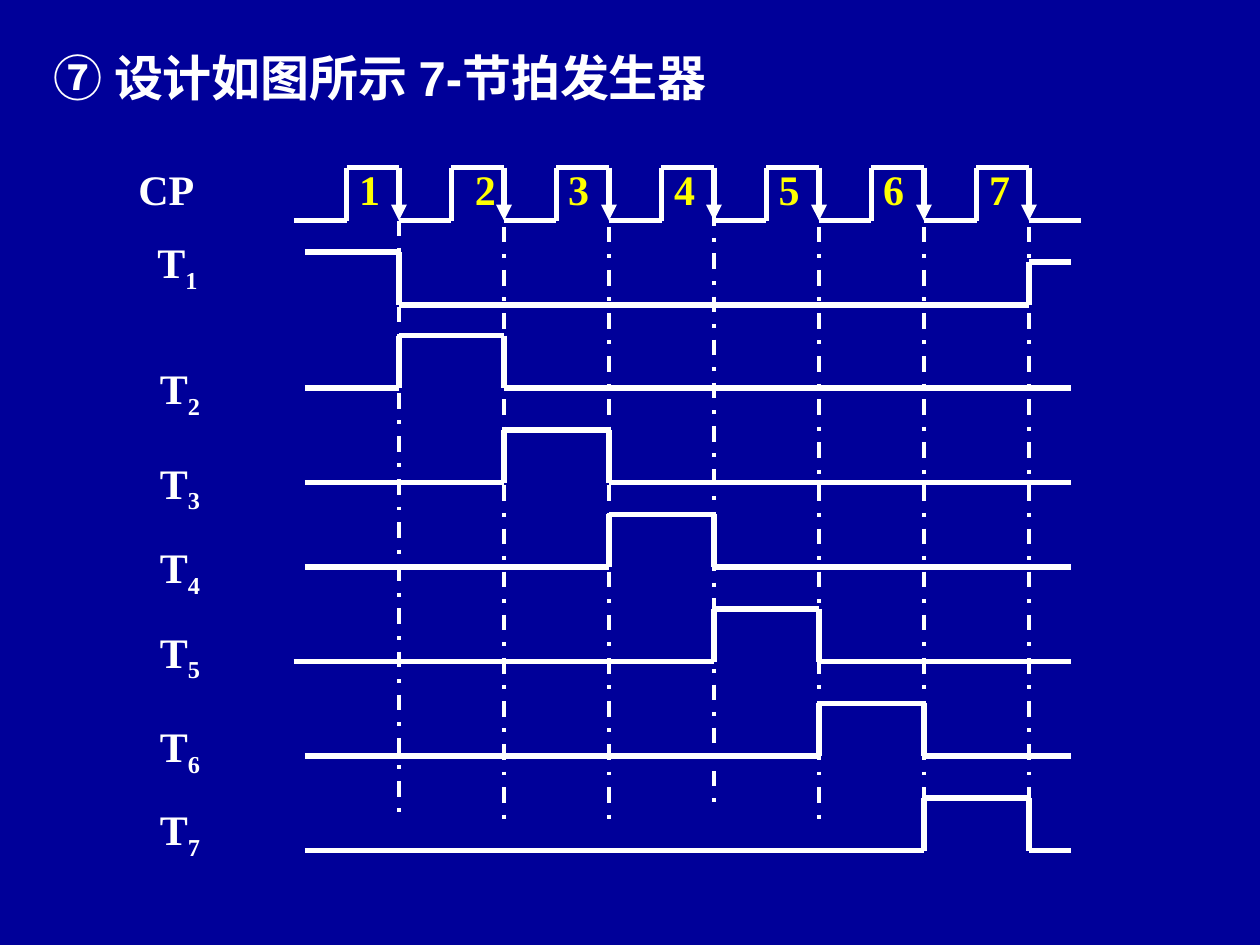
from dataclasses import dataclass
from itertools import pairwise

from lxml.etree import SubElement
from pptx import Presentation
from pptx.dml.color import RGBColor
from pptx.enum.dml import MSO_LINE_DASH_STYLE as Dash
from pptx.enum.shapes import MSO_CONNECTOR
from pptx.enum.text import MSO_AUTO_SIZE
from pptx.oxml.ns import qn
from pptx.shapes.connector import Connector
from pptx.slide import Slide
from pptx.text.text import TextFrame, _Run as Run
from pptx.util import Inches, Pt

NAVY = RGBColor(0x00, 0x00, 0x99)
WHITE = RGBColor(0xFF, 0xFF, 0xFF)
YELLOW = RGBColor(0xFF, 0xFF, 0x00)
SERIF = "Times New Roman"

PERIOD = 5 / 6
HALF = PERIOD / 2
FALLING_EDGES = [19 / 6 + PERIOD * beat for beat in range(7)]
CLOCK_HIGH, CLOCK_LOW = 1.33, 1.75
TRACE_LEFT, TRACE_RIGHT = 2.42, 8.5
GUIDE_TOPS = [1.75, 1.8, 1.8, 1.67, 1.8, 1.8, 1.8]
GUIDE_LENGTH = 4.78


@dataclass(frozen=True)
class Beat:
    """An output that is high between two neighbouring falling edges."""
    number: int
    low: float
    label_top: float
    left: float = TRACE_LEFT


BEATS = [
    Beat(2, 3.08, 2.83),
    Beat(3, 3.83, 3.58),
    Beat(4, 4.5, 4.25),
    Beat(5, 5.25, 4.92, left=2.33),
    Beat(6, 6, 5.67),
    Beat(7, 6.75, 6.33),
]

Point = tuple[float, float]


def add_line(slide: Slide, start: Point, end: Point, width: float = 3) -> Connector:
    line = slide.shapes.add_connector(
        MSO_CONNECTOR.STRAIGHT, *(Inches(value) for value in (*start, *end)))
    line.line.color.rgb = WHITE
    line.line.width = Pt(width)
    SubElement(line._element.spPr, qn("a:effectLst"))
    return line


def add_trace(slide: Slide, points: list[Point]) -> None:
    for start, end in pairwise(points):
        add_line(slide, start, end)


def add_text(slide: Slide, left: float, top: float, width: float,
             height: float) -> TextFrame:
    box = slide.shapes.add_textbox(
        Inches(left), Inches(top), Inches(width), Inches(height))
    box.text_frame.word_wrap = True
    box.text_frame.auto_size = MSO_AUTO_SIZE.SHAPE_TO_FIT_TEXT
    return box.text_frame


def format_run(run: Run, size: float = 24, color: RGBColor = WHITE,
               name: str = SERIF) -> None:
    run.font.size = Pt(size)
    run.font.bold = True
    run.font.name = name
    run.font.color.rgb = color


def add_label(slide: Slide, left: float, top: float, name: str,
              subscript: str = "") -> None:
    paragraph = add_text(slide, left, top, 1, 0.5).paragraphs[0]
    paragraph.text = name
    if subscript:
        run = paragraph.add_run()
        run.text = subscript
        run._r.get_or_add_rPr().set("baseline", "-25000")
    for run in paragraph.runs:
        format_run(run)


def add_title(slide: Slide) -> None:
    paragraph = add_text(slide, 0.33, 0.33, 7.92, 0.57).paragraphs[0]
    for text, name in (("⑦ 设计如图所示", SERIF), (" 7-节拍发生器", "Arial")):
        run = paragraph.add_run()
        run.text = text
        format_run(run, 28, name=name)


def add_guides(slide: Slide) -> None:
    for edge, top in zip(FALLING_EDGES, GUIDE_TOPS):
        guide = add_line(slide, (edge, top), (edge, top + GUIDE_LENGTH), 2.25)
        guide.line.dash_style = Dash.DASH_DOT


def add_clock(slide: Slide) -> None:
    add_label(slide, 1, 1.25, "CP")
    first_rise = FALLING_EDGES[0] - HALF
    add_line(slide, (first_rise - HALF, CLOCK_LOW), (first_rise, CLOCK_LOW))
    for edge in FALLING_EDGES:
        rise = edge - HALF
        add_trace(slide, [(rise, CLOCK_LOW), (rise, CLOCK_HIGH), (edge, CLOCK_HIGH)])
        fall = add_line(slide, (edge, CLOCK_HIGH), (edge, CLOCK_LOW))
        SubElement(fall.line._get_or_add_ln(), qn("a:tailEnd"), type="triangle")
        add_line(slide, (edge, CLOCK_LOW), (edge + HALF, CLOCK_LOW))


def add_first_output(slide: Slide) -> None:
    add_label(slide, 1.15, 1.83, "T", "1")
    first, last = FALLING_EDGES[0], FALLING_EDGES[-1]
    add_trace(slide, [(TRACE_LEFT, 2), (first, 2), (first, 2.42), (last, 2.42),
                      (last, 2.08), (TRACE_RIGHT, 2.08)])


def add_output(slide: Slide, beat: Beat) -> None:
    add_label(slide, 1.17, beat.label_top, "T", str(beat.number))
    rise, fall = FALLING_EDGES[beat.number - 2:beat.number]
    high = beat.low - HALF
    add_trace(slide, [(beat.left, beat.low), (rise, beat.low), (rise, high),
                      (fall, high), (fall, beat.low), (TRACE_RIGHT, beat.low)])


def add_beat_numbers(slide: Slide) -> None:
    frame = add_text(slide, 2.67, 1.25, 5.83, 0.5)
    frame.margin_left = Inches(0.18)
    paragraph = frame.paragraphs[0]
    paragraph.text = "\t".join("1234567")
    tabs = SubElement(paragraph._p.get_or_add_pPr(), qn("a:tabLst"))
    for position in (0.92, 1.66, 2.5, 3.33, 4.16, 5):
        SubElement(tabs, qn("a:tab"), pos=str(Inches(position)), algn="l")
    format_run(paragraph.runs[0], color=YELLOW)


def main() -> None:
    presentation = Presentation()
    presentation.slide_width = Inches(10)
    presentation.slide_height = Inches(7.5)
    slide = presentation.slides.add_slide(presentation.slide_layouts[6])
    slide.background.fill.solid()
    slide.background.fill.fore_color.rgb = NAVY

    add_title(slide)
    add_guides(slide)
    add_clock(slide)
    add_first_output(slide)
    for beat in BEATS:
        add_output(slide, beat)
    add_beat_numbers(slide)
    presentation.save("out.pptx")


if __name__ == "__main__":
    main()
